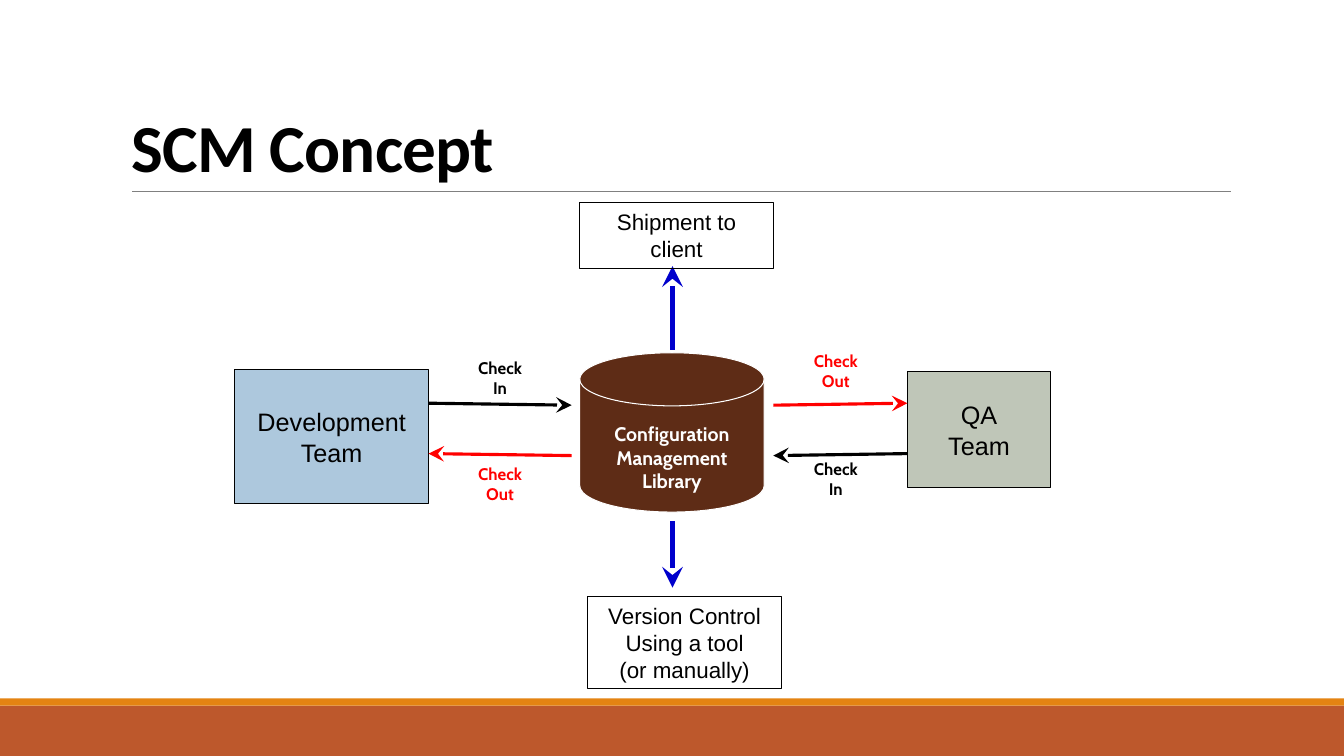
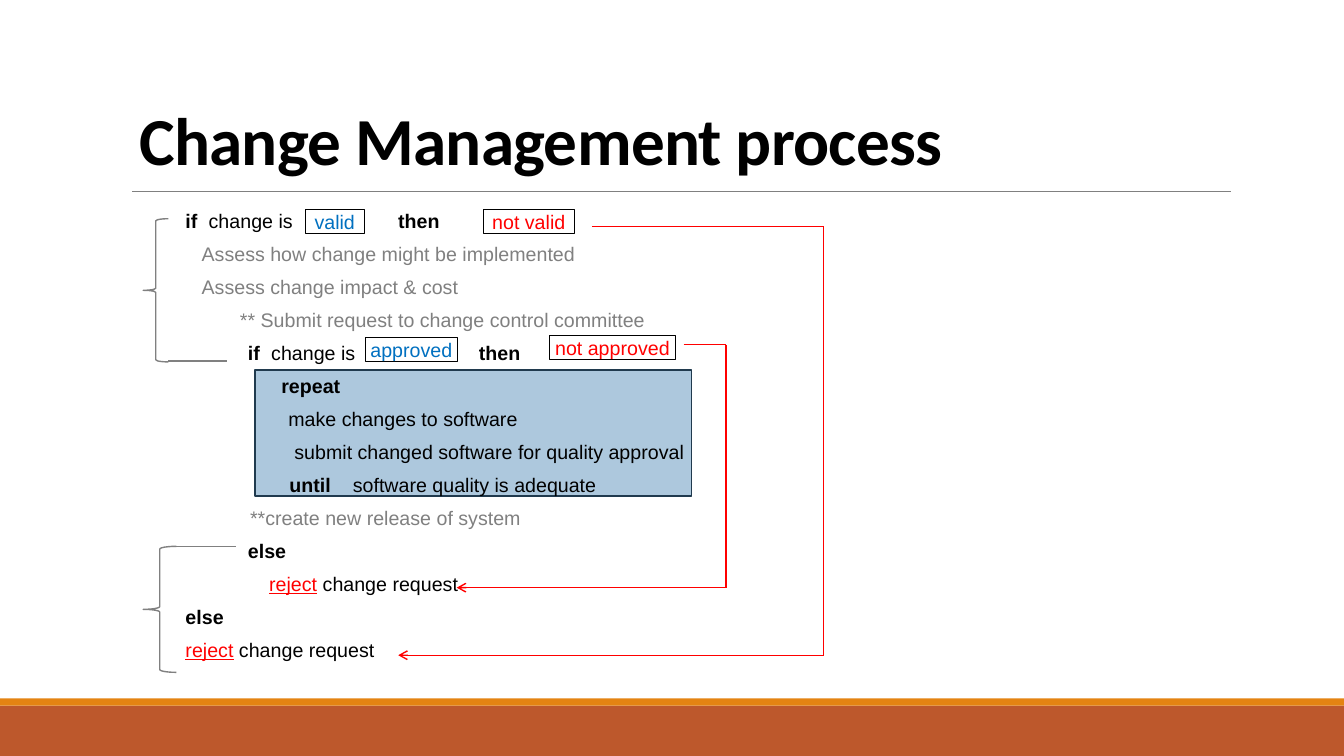
from dataclasses import dataclass

from lxml import etree
from pptx import Presentation
from pptx.dml.color import RGBColor
from pptx.enum.shapes import MSO_CONNECTOR, MSO_SHAPE
from pptx.enum.text import MSO_ANCHOR, MSO_AUTO_SIZE, PP_ALIGN
from pptx.oxml.ns import qn
from pptx.slide import Slide
from pptx.util import Inches, Pt

RECT = MSO_SHAPE.RECTANGLE
DISK = MSO_SHAPE.FLOWCHART_MAGNETIC_DISK
BRACE = MSO_SHAPE.LEFT_BRACE
LINE = MSO_CONNECTOR.STRAIGHT
LEFT, CENTER = PP_ALIGN.LEFT, PP_ALIGN.CENTER
MIDDLE, BOTTOM = MSO_ANCHOR.MIDDLE, MSO_ANCHOR.BOTTOM
NO_FIT = MSO_AUTO_SIZE.NONE


@dataclass(frozen=True)
class Theme:
    black: str = "000000"
    white: str = "FFFFFF"
    gray: str = "808080"
    red: str = "FF0000"
    blue: str = "0000CC"
    azure: str = "0070C0"
    sky: str = "ADC8DD"
    navy: str = "203A4E"
    sage: str = "BFC6B8"
    brown: str = "5E2C16"
    rust: str = "BD582C"
    amber: str = "E48312"
    head: str = "Calibri"
    body: str = "Arial"
    label: str = "Cabin"
    title: int = 48
    team: int = 18
    note: int = 16
    code: int = 14
    small: int = 12


T = Theme()


@dataclass(frozen=True)
class Style:
    size: int
    font: str = T.body
    color: str = T.black
    bold: bool = False
    under: bool = False


@dataclass(frozen=True)
class Run:
    text: str
    style: Style


@dataclass(frozen=True)
class Box:
    left: float
    top: float
    width: float
    height: float
    lines: tuple[Run, ...] = ()
    fill: str = ""
    edge: str = ""
    weight: float = 0.75
    kind: MSO_SHAPE = RECT
    wrap: bool = True
    inset: tuple[float, float, float, float] = (0.1, 0.05, 0.1, 0.05)


@dataclass(frozen=True)
class Link:
    start: tuple[float, float]
    end: tuple[float, float]
    color: str
    weight: float
    tip: str = ""
    size: str = "med"


@dataclass(frozen=True)
class Word:
    row: int
    left: float
    runs: tuple[Run, ...]


TITLE = Style(T.title, T.head, bold=True)
TEAM = Style(T.team)
NOTE = Style(T.note)
DISK_TEXT = Style(T.code, T.label, T.white, bold=True)
CODE = Style(T.code)
KEY = Style(T.code, bold=True)
STEP = Style(T.code, color=T.gray)
YES = Style(T.code, color=T.azure)
NO = Style(T.code, color=T.red)
REJECT = (Run("reject", Style(T.code, color=T.red, under=True)),
          Run(" change request", CODE))

BANDS = (
    Box(0, 7, 13.33, 0.5, fill=T.rust),
    Box(0, 6.93, 13.33, 0.07, fill=T.amber),
)
RULE = Link((1.31, 1.9), (12.21, 1.9), T.gray, 0.5)


def rows(style: Style, *texts: str) -> tuple[Run, ...]:
    return tuple(Run(text, style) for text in texts)


def label(left: float, top: float, way: str, color: str) -> Box:
    style = Style(T.small, T.label, color, bold=True)
    return Box(left, top, 0.92, 0.5, rows(style, "Check", way))


def tag(left: float, top: float, width: float, text: str, style: Style) -> Box:
    return Box(left, top, width, 0.24, rows(style, text), edge=T.black,
               weight=0.5, inset=(0, 0, 0, 0))


def flow(start: tuple[float, float], end: tuple[float, float],
         color: str, weight: float = 2.25) -> Link:
    return Link(start, end, color, weight, "stealth", "lg")


TEAMS = (
    Box(2.33, 3.67, 1.92, 1.33, rows(TEAM, "Development", "Team"),
        T.sky, T.black, wrap=False),
    Box(9, 3.69, 1.42, 1.15, rows(TEAM, "QA", "Team"),
        T.sage, T.black, wrap=False),
)
FLOWS = (
    flow((4.25, 4), (5.67, 4.02), T.black),
    flow((5.67, 4.52), (4.25, 4.5), T.red),
    flow((7.67, 4.02), (9, 4), T.red),
    flow((9, 4.5), (7.67, 4.52), T.black),
    flow((6.67, 5.17), (6.67, 5.83), T.blue, 3),
    flow((6.67, 3.47), (6.67, 2.64), T.blue, 3),
)
NOTES = (
    Box(5.83, 5.92, 1.92, 0.91,
        rows(NOTE, "Version Control Using a tool", "(or manually)"),
        edge=T.black),
    Box(5.75, 2.01, 1.92, 0.65, rows(NOTE, "Shipment to client"),
        edge=T.black),
    label(4.5, 3.5, "In", T.black),
    label(4.5, 4.55, "Out", T.red),
    label(7.83, 4.5, "In", T.black),
    label(7.83, 3.43, "Out", T.red),
    Box(5.75, 3.5, 1.83, 1.58,
        rows(DISK_TEXT, "Configuration", "Management", "Library"),
        T.brown, T.white, kind=DISK, wrap=False,
        inset=(0.1, 0.28, 0.1, 0.05)),
)

LOOP = Box(2.53, 3.67, 4.33, 1.25, fill=T.sky, edge=T.navy, weight=1)
WORDS = (
    Word(0, 1.84, rows(KEY, "if")),
    Word(0, 2.07, rows(CODE, "change is")),
    Word(0, 3.95, rows(KEY, "then")),
    Word(1, 2, rows(STEP, "Assess how change might be implemented")),
    Word(2, 2, rows(STEP, "Assess change impact & cost")),
    Word(3, 2.38, rows(STEP, "** Submit request to change control committee")),
    Word(4, 2.46, rows(KEY, "if")),
    Word(4, 2.69, rows(CODE, "change is")),
    Word(4, 4.75, rows(KEY, "then")),
    Word(5, 2.79, rows(KEY, "repeat")),
    Word(6, 2.86, rows(CODE, "make changes to software")),
    Word(7, 2.92, rows(CODE, "submit changed software for quality approval")),
    Word(8, 2.87, rows(KEY, "until")),
    Word(8, 3.5, rows(CODE, "software quality is adequate")),
    Word(9, 2.48, rows(STEP, "**create new release of system")),
    Word(10, 2.46, rows(KEY, "else")),
    Word(11, 2.67, REJECT),
    Word(12, 1.84, rows(KEY, "else")),
    Word(13, 1.84, REJECT),
)
FIRST, LAST = 2.07, 6.33
PITCH = (LAST - FIRST) / 13
MARKS = (
    Box(1.42, 2.17, 0.25, 1.42, edge=T.gray, weight=1, kind=BRACE),
    Box(1.42, 5.42, 0.33, 1.25, edge=T.gray, weight=1, kind=BRACE),
    tag(4.79, 2.08, 0.91, "not valid", NO),
    tag(3.03, 2.08, 0.58, "valid", YES),
    tag(5.45, 3.33, 1.25, "not approved", NO),
    tag(3.62, 3.35, 0.92, "approved", YES),
)
STUBS = (
    Link((1.67, 3.58), (2.25, 3.58), T.gray, 1),
    Link((1.75, 5.42), (2.34, 5.42), T.gray, 1),
)


def paint(color: str) -> RGBColor:
    return RGBColor.from_string(color)


def add_run(para, run: Run) -> None:
    piece = para.add_run()
    piece.text = run.text
    font, style = piece.font, run.style
    font.name, font.size = style.font, Pt(style.size)
    font.bold, font.underline = style.bold, style.under
    font.color.rgb = paint(style.color)


def add_box(slide: Slide, box: Box):
    place = [Inches(n) for n in (box.left, box.top, box.width, box.height)]
    if box.fill or box.edge:
        shape = slide.shapes.add_shape(box.kind, *place)
        shape.shadow.inherit = False
    else:
        shape = slide.shapes.add_textbox(*place)
    if box.fill:
        shape.fill.solid()
        shape.fill.fore_color.rgb = paint(box.fill)
    else:
        shape.fill.background()
    if box.edge:
        shape.line.color.rgb = paint(box.edge)
        shape.line.width = Pt(box.weight)
    else:
        shape.line.fill.background()
    frame = shape.text_frame
    frame.word_wrap = box.wrap
    frame.vertical_anchor = MIDDLE
    (frame.margin_left, frame.margin_top,
     frame.margin_right, frame.margin_bottom) = map(Inches, box.inset)
    for i, run in enumerate(box.lines):
        para = frame.add_paragraph() if i else frame.paragraphs[0]
        para.alignment = CENTER
        add_run(para, run)
    return shape


def add_link(slide: Slide, link: Link):
    ends = [Inches(n) for n in (*link.start, *link.end)]
    line = slide.shapes.add_connector(LINE, *ends)
    line.line.color.rgb = paint(link.color)
    line.line.width = Pt(link.weight)
    props = line.element.spPr
    if link.tip:
        etree.SubElement(props.find(qn("a:ln")), qn("a:tailEnd"),
                         type=link.tip, w=link.size, len=link.size)
    etree.SubElement(props, qn("a:effectLst"))
    return line


def add_path(slide: Slide, *points: tuple[float, float]) -> None:
    for i, (start, end) in enumerate(zip(points, points[1:])):
        tip = "arrow" if i == len(points) - 2 else ""
        add_link(slide, Link(start, end, T.red, 1, tip))


def add_word(slide: Slide, word: Word) -> None:
    spot = Inches(word.left), Inches(FIRST + PITCH * word.row)
    frame = slide.shapes.add_textbox(*spot, Inches(4.5), Inches(0.24)).text_frame
    frame.word_wrap = False
    frame.margin_left = frame.margin_right = 0
    frame.margin_top = frame.margin_bottom = 0
    para = frame.paragraphs[0]
    para.alignment = LEFT
    for run in word.runs:
        add_run(para, run)


def set_title(slide: Slide, text: str, left: float, top: float) -> None:
    title = slide.shapes.title
    title.left, title.top = Inches(left), Inches(top)
    title.width, title.height = Inches(11), Inches(1.59)
    frame = title.text_frame
    frame.auto_size, frame.word_wrap = NO_FIT, True
    frame.vertical_anchor = BOTTOM
    para = frame.paragraphs[0]
    para.alignment, para.line_spacing = LEFT, 0.85
    add_run(para, Run(text, TITLE))
    for props in title.element.iter(qn("a:rPr")):
        props.set("spc", "-50")


def dress(slide: Slide) -> None:
    parts = [add_box(slide, band) for band in BANDS]
    parts.append(add_link(slide, RULE))
    for part in parts:
        slide.slide_layout.shapes.element.append(part.element)


def concept(slide: Slide) -> None:
    set_title(slide, "SCM Concept", 1.2, 0.31)
    for box in TEAMS:
        add_box(slide, box)
    for link in FLOWS:
        add_link(slide, link)
    for box in NOTES:
        add_box(slide, box)


def process(slide: Slide) -> None:
    set_title(slide, "Change Management process", 1.28, 0.24)
    add_box(slide, LOOP)
    for word in WORDS:
        add_word(slide, word)
    for box in MARKS:
        add_box(slide, box)
    for link in STUBS:
        add_link(slide, link)
    add_path(slide, (5.87, 2.25), (8.17, 2.25), (8.17, 6.5), (3.95, 6.5))
    add_path(slide, (6.78, 3.42), (7.2, 3.42), (7.2, 5.83), (4.53, 5.83))


def main() -> None:
    deck = Presentation()
    deck.slide_width, deck.slide_height = Inches(13.33), Inches(7.5)
    layout = deck.slide_layouts[5]
    first = deck.slides.add_slide(layout)
    dress(first)
    concept(first)
    process(deck.slides.add_slide(layout))
    deck.save("out.pptx")


if __name__ == "__main__":
    main()
